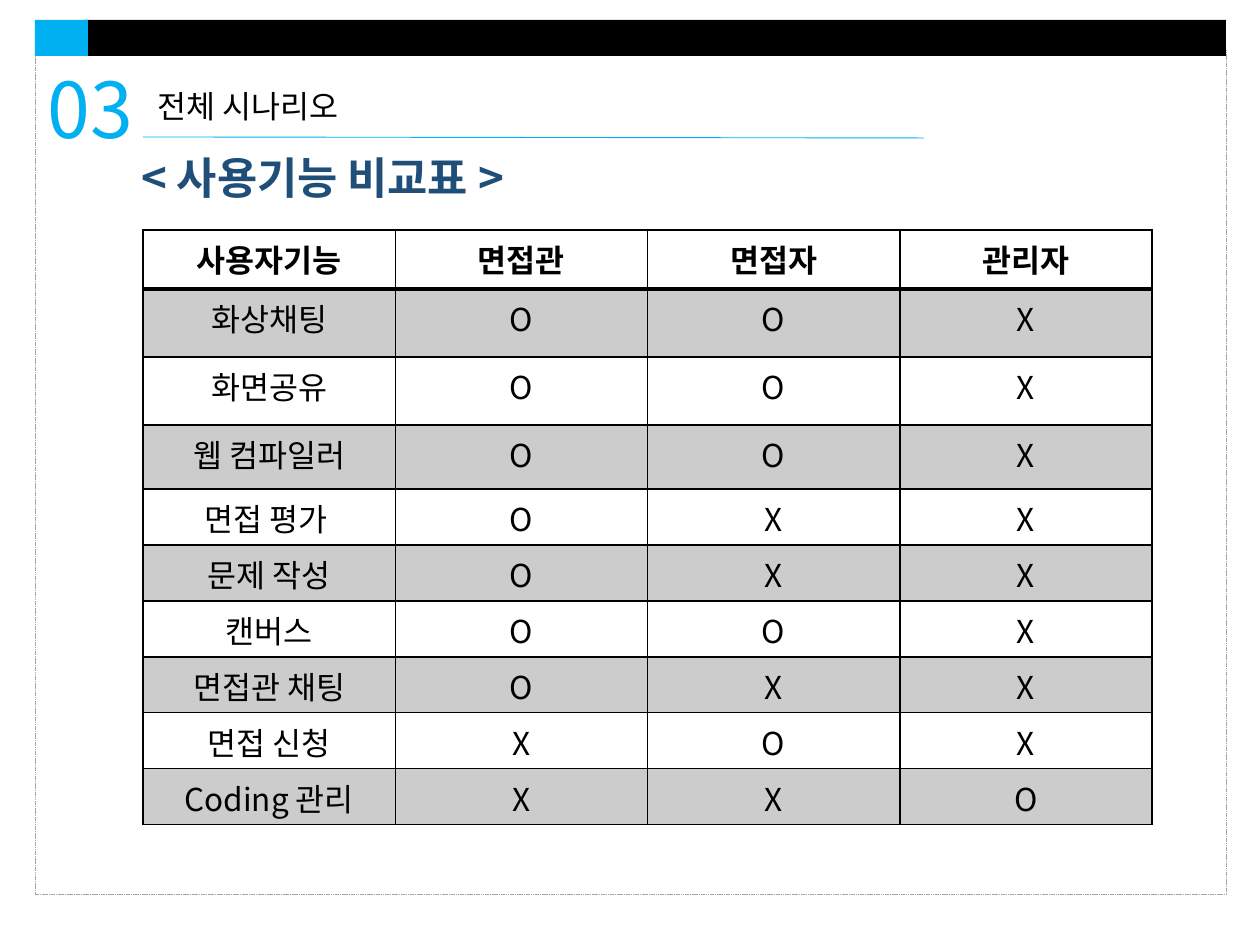
from lxml import etree
from pptx import Presentation
from pptx.dml.color import RGBColor
from pptx.enum.dml import MSO_LINE
from pptx.enum.shapes import MSO_CONNECTOR, MSO_SHAPE
from pptx.enum.text import MSO_ANCHOR, PP_ALIGN
from pptx.oxml.ns import qn
from pptx.util import Emu, Pt

RECT = MSO_SHAPE.RECTANGLE
STRAIGHT = MSO_CONNECTOR.STRAIGHT
DASH = MSO_LINE.SQUARE_DOT
TOP, CENTER, LEFT = MSO_ANCHOR.TOP, PP_ALIGN.CENTER, PP_ALIGN.LEFT
FONT = "Noto Sans CJK KR"
COLORS = {"black": "000000", "white": "FFFFFF", "accent": "00B0F0",
          "frame": "A6A6A6", "band": "CCCCCC", "heading": "1F4E79"}
HEADER = ["사용자기능", "면접관", "면접자", "관리자"]
FEATURES = [("화상채팅", "OOX"), ("화면공유", "OOX"), ("웹 컴파일러", "OOX"),
            ("면접 평가 ", "OXX"), ("문제 작성", "OXX"), ("캔버스", "OOX"),
            ("면접관 채팅", "OXX"), ("면접 신청", "XOX"), ("Coding 관리", "XXO")]
ROW_HEIGHTS = [59, 68, 68, 64] + [56] * 6


def px(length):
    """Turn pixels (126 to the inch) into EMU."""
    return Emu(round(length * 914400 / 126))


def color(name):
    """Look up a named colour."""
    return RGBColor.from_string(COLORS[name])


def style(paragraph, size, color_name, bold=False, align=LEFT):
    """Set the font of a paragraph, for Latin and Korean letters alike."""
    font = paragraph.font
    font.name, font.size, font.bold = FONT, Pt(size), bold
    font.color.rgb = color(color_name)
    paragraph.alignment = align
    for run in paragraph.runs:
        east_asian = etree.SubElement(run.font._element, qn("a:ea"))
        east_asian.set("typeface", FONT)


def add_box(slide, box, fill=None):
    """Draw a flat rectangle without outline."""
    shape = slide.shapes.add_shape(RECT, *map(px, box))
    shape.shadow.inherit = False
    shape.line.fill.background()
    if fill:
        shape.fill.solid()
        shape.fill.fore_color.rgb = color(fill)
    else:
        shape.fill.background()
    return shape


def add_label(slide, box, text, size, color_name, bold=False, wrap=True):
    """Write one line of text in a box."""
    frame = slide.shapes.add_textbox(*map(px, box)).text_frame
    frame.word_wrap = wrap
    frame.text = text
    style(frame.paragraphs[0], size, color_name, bold)


def add_page_frame(slide, box):
    """Draw the dashed frame with the black bar and its blue start on top."""
    left, top, width, height = box
    border = add_box(slide, (left, top + 30, width, height - 30))
    border.line.color.rgb = color("frame")
    border.line.width = Pt(0.25)
    border.line.dash_style = DASH
    add_box(slide, (left + 49, top, width - 49, 36), "black")
    add_box(slide, (left, top, 53, 36), "accent")


def add_section_title(slide, box):
    """Place the section number, its underlined title and the heading."""
    left, top, width, height = box
    add_label(slide, (left, top, 111, 105), "03", 44, "accent", wrap=False)
    rule = slide.shapes.add_connector(
        STRAIGHT, px(left + width), px(top + 83), px(left + 108), px(top + 82))
    rule.line.color.rgb = color("accent")
    rule.line.width = Pt(0.5)
    etree.SubElement(rule._element.spPr, qn("a:effectLst"))
    add_label(slide, (left + 110, top + 26, 620, 50), "전체 시나리오", 18, "black")
    add_label(slide, (left + 94, top + height - 66, 438, 66),
              "< 사용기능 비교표 >", 25, "heading", bold=True)


def add_borders(cell, widths):
    """Draw black borders, given side by side as tag and points."""
    properties = cell._tc.get_or_add_tcPr()
    for position, (tag, points) in enumerate(widths.items()):
        line = etree.Element(qn(f"a:{tag}"), w=str(Pt(points)))
        fill = etree.SubElement(line, qn("a:solidFill"))
        etree.SubElement(fill, qn("a:srgbClr"), val=COLORS["black"])
        properties.insert(position, line)


def add_feature_table(slide, box):
    """Build the table of features by user role."""
    rows = [HEADER] + [[feature, *marks] for feature, marks in FEATURES]
    table = slide.shapes.add_table(len(rows), len(HEADER), *map(px, box)).table
    for column in table.columns:
        column.width = px(box[2] / len(HEADER))
    for r, texts in enumerate(rows):
        table.rows[r].height = px(ROW_HEIGHTS[r])
        for c, text in enumerate(texts):
            cell = table.cell(r, c)
            cell.text = text
            cell.vertical_anchor = TOP
            cell.margin_top, cell.margin_bottom = px(6), px(2)
            style(cell.text_frame.paragraphs[0], 18, "black", r == 0, CENTER)
            cell.fill.solid()
            cell.fill.fore_color.rgb = color("band" if r % 2 else "white")
            add_borders(cell, {"lnL": 1, "lnR": 1, "lnT": 2 if r == 1 else 1,
                               "lnB": 2 if r == 0 else 1})


def main():
    """Build the slide and save it."""
    deck = Presentation()
    deck.slide_width, deck.slide_height = px(1260), px(945)
    slide = deck.slides.add_slide(deck.slide_layouts[6])
    add_page_frame(slide, (35, 20, 1191, 874))
    add_section_title(slide, (35, 55, 889, 156))
    add_feature_table(slide, (143, 230, 1009, sum(ROW_HEIGHTS)))
    deck.save("out.pptx")


main()
